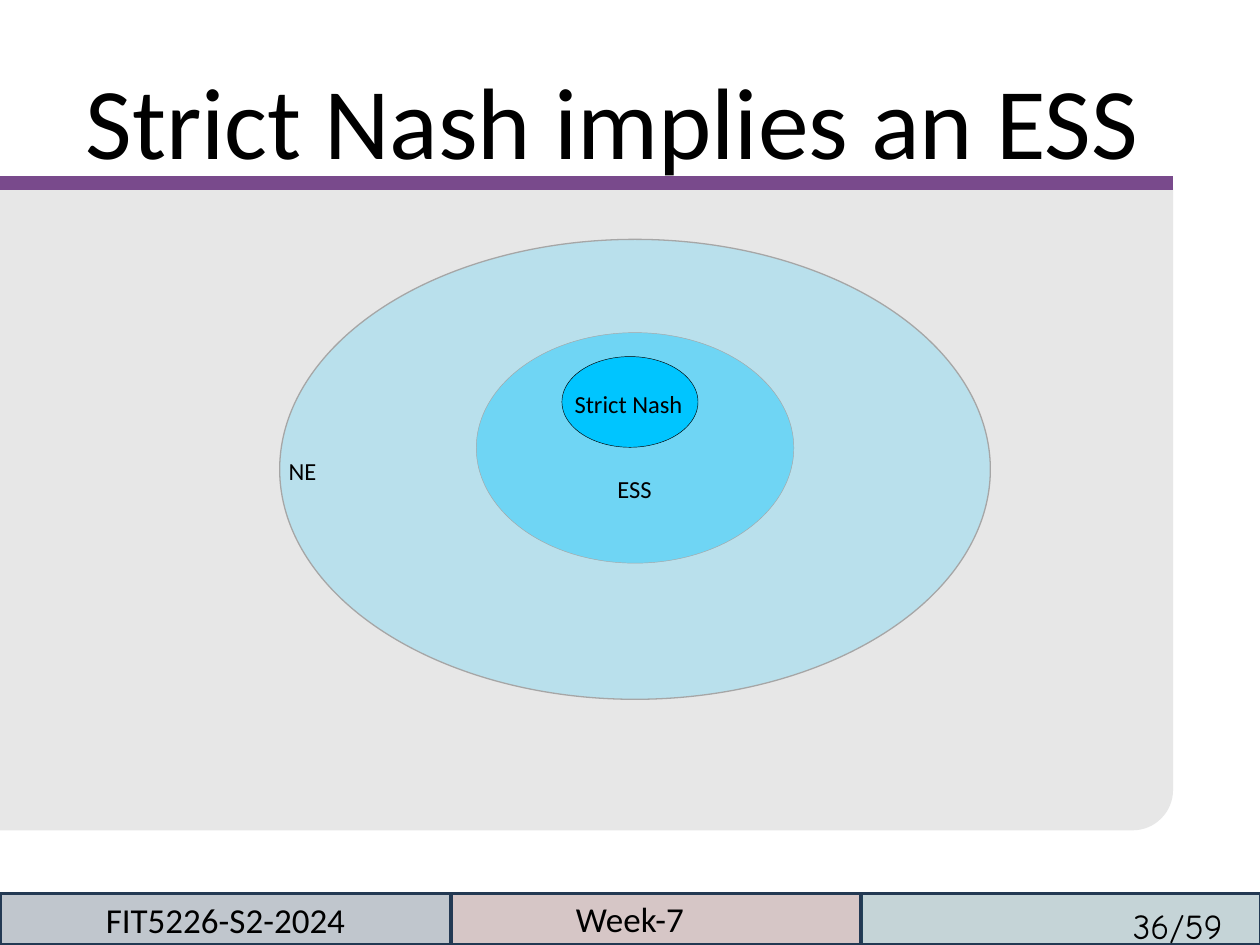
from math import cos, pi, sin

from lxml.etree import SubElement
from pptx import Presentation
from pptx.dml.color import RGBColor
from pptx.enum.shapes import MSO_CONNECTOR, MSO_SHAPE
from pptx.enum.text import MSO_ANCHOR, PP_ALIGN
from pptx.oxml.ns import qn
from pptx.util import Inches, Pt

BLACK = RGBColor(0x00, 0x00, 0x00)
PANEL_GREY = RGBColor(0xE7, 0xE7, 0xE7)
RULE_PURPLE = RGBColor(0x79, 0x4A, 0x8C)
OUTLINE_GREY = RGBColor(0xA6, 0xA6, 0xA6)
NASH_BLUE = RGBColor(0xB9, 0xE0, 0xEC)
ESS_BLUE = RGBColor(0x6F, 0xD5, 0xF4)
STRICT_BLUE = RGBColor(0x00, 0xC5, 0xFF)
FOOTER_LINE = RGBColor(0x23, 0x39, 0x53)
FOOTER_NAVY = RGBColor(0x0F, 0x24, 0x3E)
FOOTER_RED = RGBColor(0x63, 0x25, 0x23)
FOOTER_TEAL = RGBColor(0x21, 0x59, 0x68)

PANEL_RIGHT = 9.31
FOOTER_TOP = 7.09
FOOTER_HEIGHT = 0.41


def add_run(paragraph, text, size, font_name="Calibri"):
    run = paragraph.add_run()
    run.text = text
    run.font.size = Pt(size)
    run.font.name = font_name
    run.font.color.rgb = BLACK


def add_text(slide, box, text, size, font_name="Calibri", align=PP_ALIGN.LEFT):
    shape = slide.shapes.add_textbox(*map(Inches, box))
    frame = shape.text_frame
    frame.word_wrap = True
    frame.margin_left = frame.margin_right = 0
    frame.margin_top = frame.margin_bottom = 0
    paragraph = frame.paragraphs[0]
    paragraph.alignment = align
    add_run(paragraph, text, size, font_name)


def add_panel(slide, top, bottom, radius):
    """Grey panel with only its lower right corner rounded."""
    steps = 16
    angles = [pi / 2 * step / steps for step in range(steps + 1)]
    corner = [
        (PANEL_RIGHT - radius + radius * cos(angle),
         bottom - radius + radius * sin(angle))
        for angle in angles
    ]
    points = [(PANEL_RIGHT, top), *corner, (0, bottom)]
    builder = slide.shapes.build_freeform(0, Inches(top))
    builder.add_line_segments([(Inches(x), Inches(y)) for x, y in points])
    panel = builder.convert_to_shape()
    panel.shadow.inherit = False
    panel.fill.solid()
    panel.fill.fore_color.rgb = PANEL_GREY
    panel.line.fill.background()


def add_rule(slide, y):
    rule = slide.shapes.add_connector(
        MSO_CONNECTOR.STRAIGHT, 0, Inches(y), Inches(PANEL_RIGHT), Inches(y))
    rule.line.color.rgb = RULE_PURPLE
    rule.line.width = Pt(8)
    SubElement(rule._element.spPr, qn("a:effectLst"))


def add_filled_shape(slide, kind, box, fill, line, line_width):
    shape = slide.shapes.add_shape(kind, *map(Inches, box))
    shape.shadow.inherit = False
    shape.fill.solid()
    shape.fill.fore_color.rgb = fill
    shape.line.color.rgb = line
    shape.line.width = Pt(line_width)
    return shape


def add_footer_cell(slide, left, width, fill):
    box = (left, FOOTER_TOP, width, FOOTER_HEIGHT)
    cell = add_filled_shape(
        slide, MSO_SHAPE.RECTANGLE, box, fill, FOOTER_LINE, 2)
    color = cell._element.spPr.find(qn("a:solidFill")).find(qn("a:srgbClr"))
    SubElement(color, qn("a:alpha")).set("val", "26000")
    return cell


def main():
    presentation = Presentation()
    presentation.slide_width = Inches(10)
    presentation.slide_height = Inches(7.5)
    slide = presentation.slides.add_slide(presentation.slide_layouts[6])

    # Panel, rule and title
    add_panel(slide, top=1.49, bottom=6.59, radius=0.32)
    add_rule(slide, 1.45)
    add_text(slide, (0.68, 0.46, 8.83, 0.82), "Strict Nash implies an ESS", 58)

    # Nested sets, from the outermost inwards
    sets = [
        ((2.22, 1.9, 5.64, 3.65), NASH_BLUE, OUTLINE_GREY, 0.75),
        ((3.78, 2.64, 2.52, 1.83), ESS_BLUE, OUTLINE_GREY, 0.25),
        ((4.46, 2.83, 1.08, 0.72), STRICT_BLUE, BLACK, 0.25),
    ]
    for box, fill, line, line_width in sets:
        add_filled_shape(slide, MSO_SHAPE.OVAL, box, fill, line, line_width)

    # Set names
    labels = [("NE", 2.29, 3.62, 0.3), ("ESS", 4.9, 3.76, 0.35),
              ("Strict Nash", 4.56, 3.09, 0.95)]
    for text, left, top, width in labels:
        add_text(slide, (left, top, width, 0.22), text, 14)

    # Footer
    add_footer_cell(slide, 3.58, 3.26, FOOTER_RED)
    add_footer_cell(slide, 6.83, 3.18, FOOTER_TEAL)
    add_text(slide, (8.99, 7.18, 1.02, 0.35), "36/59", 20, "Comic Neue")
    add_text(slide, (3.4, 7.12, 3.2, 0.34), "Week-7", 20,
             align=PP_ALIGN.CENTER)
    course_cell = add_footer_cell(slide, 0, 3.58, FOOTER_NAVY)
    course_cell.text_frame.vertical_anchor = MSO_ANCHOR.MIDDLE
    paragraph = course_cell.text_frame.paragraphs[0]
    paragraph.alignment = PP_ALIGN.CENTER
    add_run(paragraph, "FIT5226-S2-2024", 20)

    presentation.save("out.pptx")


if __name__ == "__main__":
    main()
